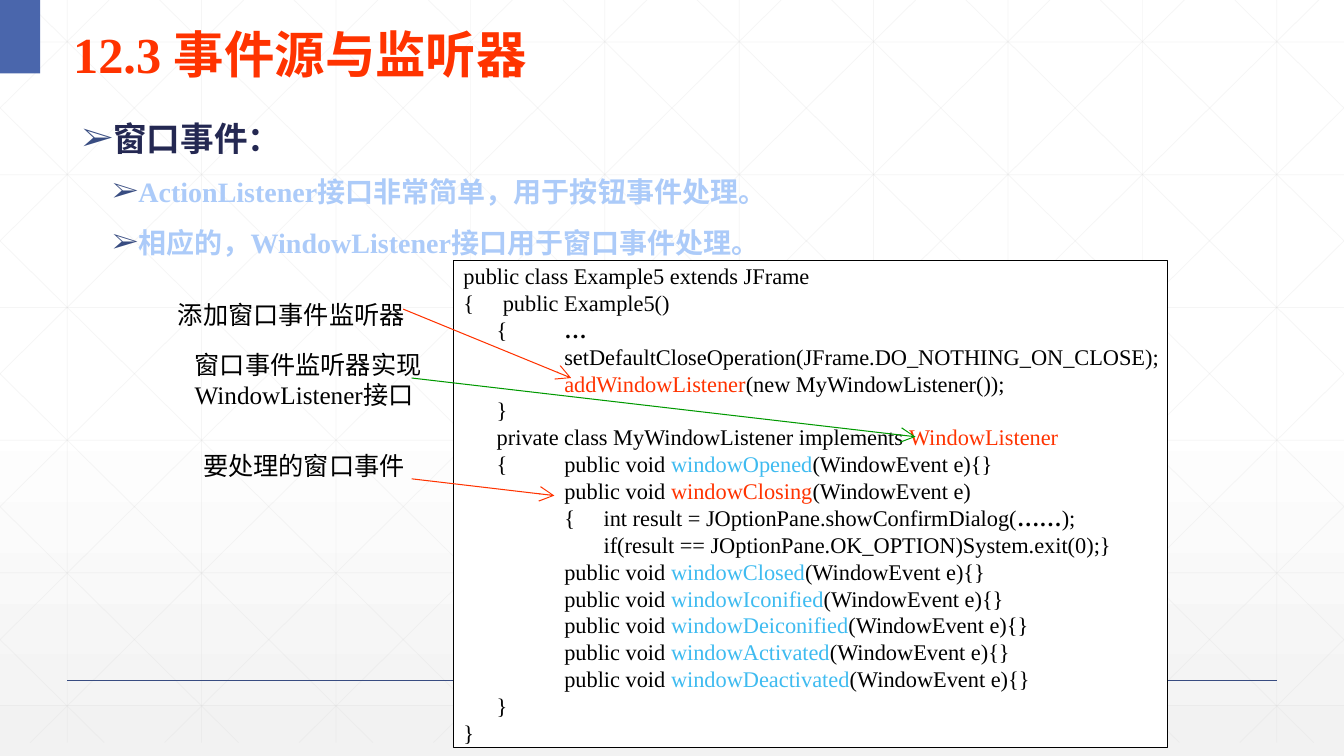
import dataclasses
import lxml.etree
import pptx
import pptx.dml.color
import pptx.enum.dml
import pptx.enum.shapes
import pptx.enum.text
import pptx.oxml.ns
import pptx.util

# The slide is a grid of 160 columns by 90 rows
COLUMNS, ROWS = 160, 90
CELL = pptx.util.Inches(7.5) / ROWS
FONT = "Times New Roman"
RED, GREEN, SKY, BLACK = "FF3300", "009900", "3EBBF0", "000000"
NAVY, PALE, RULE = "242852", "ACCBF9", "384C81"
qn = pptx.oxml.ns.qn


@dataclasses.dataclass
class Label:
    column: float
    row: float
    width: float
    height: float
    text: str


@dataclasses.dataclass
class Arrow:
    start: tuple[float, float]
    end: tuple[float, float]
    color: str


@dataclasses.dataclass
class CodeLine:
    start: float  # inches from the left edge of the code
    runs: list[tuple[str, str]]
    hang: float = 0  # where the text after an opening brace begins


def cells(*counts: float) -> list[int]:
    return [round(count * CELL) for count in counts]


def rgb(color: str) -> pptx.dml.color.RGBColor:
    return pptx.dml.color.RGBColor.from_string(color)


def style(run, size: float, color: str, bold: bool = False) -> None:
    run.font.size, run.font.bold, run.font.name = pptx.util.Pt(size), bold, FONT
    run.font.color.rgb = rgb(color)


def indent(paragraph, left: float, first: float) -> None:
    properties = paragraph._p.get_or_add_pPr()
    properties.set("marL", str(pptx.util.Inches(left)))
    properties.set("indent", str(pptx.util.Inches(first)))


def add_bullet(paragraph) -> None:
    properties = paragraph._p.get_or_add_pPr()
    tint = lxml.etree.SubElement(properties, qn("a:buClr"))
    lxml.etree.SubElement(tint, qn("a:srgbClr")).set("val", RULE)
    lxml.etree.SubElement(properties, qn("a:buFont")).set("typeface", FONT)
    lxml.etree.SubElement(properties, qn("a:buChar")).set("char", "➢")


def add_line(start, end, color: str, width: float):
    line = slide.shapes.add_connector(
        pptx.enum.shapes.MSO_CONNECTOR.STRAIGHT, *cells(*start, *end))
    line.line.color.rgb, line.line.width = rgb(color), pptx.util.Pt(width)
    lxml.etree.SubElement(line._element.spPr, qn("a:effectLst"))
    return line


def add_grid_line(start, end) -> None:
    line = add_line(start, end, "D9D9D9", 0.5)
    tint = line.line._ln.find(".//" + qn("a:srgbClr"))
    lxml.etree.SubElement(tint, qn("a:alpha")).set("val", "25000")


def add_arrow(arrow: Arrow) -> None:
    line = add_line(arrow.start, arrow.end, arrow.color, 0.75)
    head = lxml.etree.SubElement(line.line._ln, qn("a:tailEnd"))
    for name, value in (("type", "arrow"), ("w", "lg"), ("len", "lg")):
        head.set(name, value)


def add_box(column: float, row: float, width: float, height: float, fill: str):
    box = slide.shapes.add_shape(
        pptx.enum.shapes.MSO_SHAPE.RECTANGLE, *cells(column, row, width, height))
    box.shadow.inherit = False
    box.fill.solid()
    box.fill.fore_color.rgb = rgb(fill)
    box.line.fill.background()
    return box


def add_label(label: Label) -> None:
    box = slide.shapes.add_textbox(
        *cells(label.column, label.row, label.width, label.height))
    box.text_frame.word_wrap = False
    box.text_frame.text = label.text
    for paragraph in box.text_frame.paragraphs:
        style(paragraph.runs[0], 18, BLACK)


def place(placeholder, column: float, row: float, width: float, height: float):
    (placeholder.left, placeholder.top,
     placeholder.width, placeholder.height) = cells(column, row, width, height)
    slide.shapes._spTree.append(placeholder._element)  # in front of the grid
    frame = placeholder.text_frame
    frame.auto_size = pptx.enum.text.MSO_AUTO_SIZE.NONE
    frame.vertical_anchor = pptx.enum.text.MSO_ANCHOR.TOP
    return frame


def handler(name: str, color: str = SKY, rest: str = "(WindowEvent e){}") -> list:
    return [("public void ", BLACK), (name, color), (rest, BLACK)]


deck = pptx.Presentation()
deck.slide_width, deck.slide_height = cells(COLUMNS, ROWS)
slide = deck.slides.add_slide(deck.slide_layouts[1])

# Background: gradient, square grid and its diagonals
backdrop = slide.background.fill
backdrop.gradient()
backdrop.gradient_angle = 270
for stop, (position, color) in zip(
        backdrop.gradient_stops, [(0.53, "FFFFFF"), (1, "F2F2F2")]):
    stop.position, stop.color.rgb = position, rgb(color)

DEPTH, RUN, STEP = 88.4, 89.4, 16
for x in range(8, COLUMNS, STEP):
    add_grid_line((x, 0), (x, DEPTH))
for number in range(6):
    y = 5 + 15.8 * number
    add_grid_line((0, y), (COLUMNS, y))
for number in range(-5, 10):
    origin = 3 + STEP * number
    left, right = max(origin, 0), min(origin + RUN, COLUMNS)
    top, bottom = [(x - origin) * DEPTH / RUN for x in (left, right)]
    add_grid_line((left, top), (right, bottom))
    add_grid_line((COLUMNS - left, top), (COLUMNS - right, bottom))

add_line((8, 81), (152, 81), RULE, 1)
add_box(0, 0, 4.8, 8.75, "4A66AC")

# Title
heading = place(slide.shapes.title, 7.5, 0, 141, 8.75)
heading.text = "12.3 事件源与监听器"
heading.paragraphs[0].alignment = pptx.enum.text.PP_ALIGN.LEFT
heading.paragraphs[0].line_spacing = 1.3
style(heading.paragraphs[0].runs[0], 36, RED, True)

# Topic and its two points
topics = place(slide.placeholders[1], 8.6, 13.4, 141, 66.2)
topics.text = ("窗口事件：\nActionListener接口非常简单，用于按钮事件处理。\n"
               "相应的，WindowListener接口用于窗口事件处理。")
for number, paragraph in enumerate(topics.paragraphs):
    level = min(number, 1)
    paragraph.level = level
    indent(paragraph, (0.25, 0.5)[level], (-0.25, -0.2)[level])
    paragraph.space_before = pptx.util.Pt((18, 12)[level])
    add_bullet(paragraph)
    style(paragraph.runs[0], (24, 20)[level], (NAVY, PALE)[level], True)

# Code listing
MEMBER, BODY, AFTER_BRACE = 0.33, 1, 0.39
CODE = [
    CodeLine(0, [("public class Example5 extends JFrame", BLACK)]),
    CodeLine(0, [("{\tpublic Example5()", BLACK)], AFTER_BRACE),
    CodeLine(MEMBER, [("{\t", BLACK), ("…", BLACK)], BODY),
    CodeLine(BODY, [("setDefaultCloseOperation(JFrame.DO_NOTHING_ON_CLOSE);", BLACK)]),
    CodeLine(BODY, [("addWindowListener", RED), ("(new MyWindowListener());", BLACK)]),
    CodeLine(MEMBER, [("}", BLACK)]),
    CodeLine(MEMBER, [("private class MyWindowListener implements ", BLACK),
                      ("WindowListener", RED)]),
    CodeLine(MEMBER, [("{\t", BLACK), *handler("windowOpened")], BODY),
    CodeLine(BODY, handler("windowClosing", RED, "(WindowEvent e)")),
    CodeLine(BODY, [("{\tint result = JOptionPane.showConfirmDialog(", BLACK),
                    ("……", BLACK), (");", BLACK)], BODY + AFTER_BRACE),
    CodeLine(BODY + AFTER_BRACE,
             [("if(result == JOptionPane.OK_OPTION)System.exit(0);}", BLACK)]),
    *[CodeLine(BODY, handler("window" + event)) for event in
      ("Closed", "Iconified", "Deiconified", "Activated", "Deactivated")],
    CodeLine(MEMBER, [("}", BLACK)]),
    CodeLine(0, [("}", BLACK)]),
]
listing = add_box(54, 31, 85, 58, "FFFFFF")
listing.line.color.rgb, listing.line.width = rgb(BLACK), pptx.util.Pt(0.75)
listing.text_frame.word_wrap = False
listing.text_frame.vertical_anchor = pptx.enum.text.MSO_ANCHOR.MIDDLE
listing.text_frame.text = "\n".join(
    "".join(text for text, _ in line.runs) for line in CODE)
for paragraph, line in zip(listing.text_frame.paragraphs, CODE):
    paragraph.alignment = pptx.enum.text.PP_ALIGN.LEFT
    paragraph.line_spacing = pptx.util.Pt(19.2)
    hang = line.hang or line.start
    indent(paragraph, hang, line.start - hang)
    paragraph.clear()
    for text, color in line.runs:
        run = paragraph.add_run()
        run.text = text
        style(run, 16, color, text.startswith("…"))

# Labels and the arrows to the code they explain
for label in [Label(22, 41, 29.4, 8.4, "窗口事件监听器实现\nWindowListener接口"),
              Label(23, 53, 26.4, 4.8, "要处理的窗口事件"),
              Label(20, 35, 29.4, 4.8, "添加窗口事件监听器")]:
    add_label(label)
for arrow in [Arrow((48, 36.8), (68, 45), RED),
              Arrow((49, 45), (109, 52), GREEN),
              Arrow((49, 57), (66, 59), RED)]:
    add_arrow(arrow)

deck.save("out.pptx")
